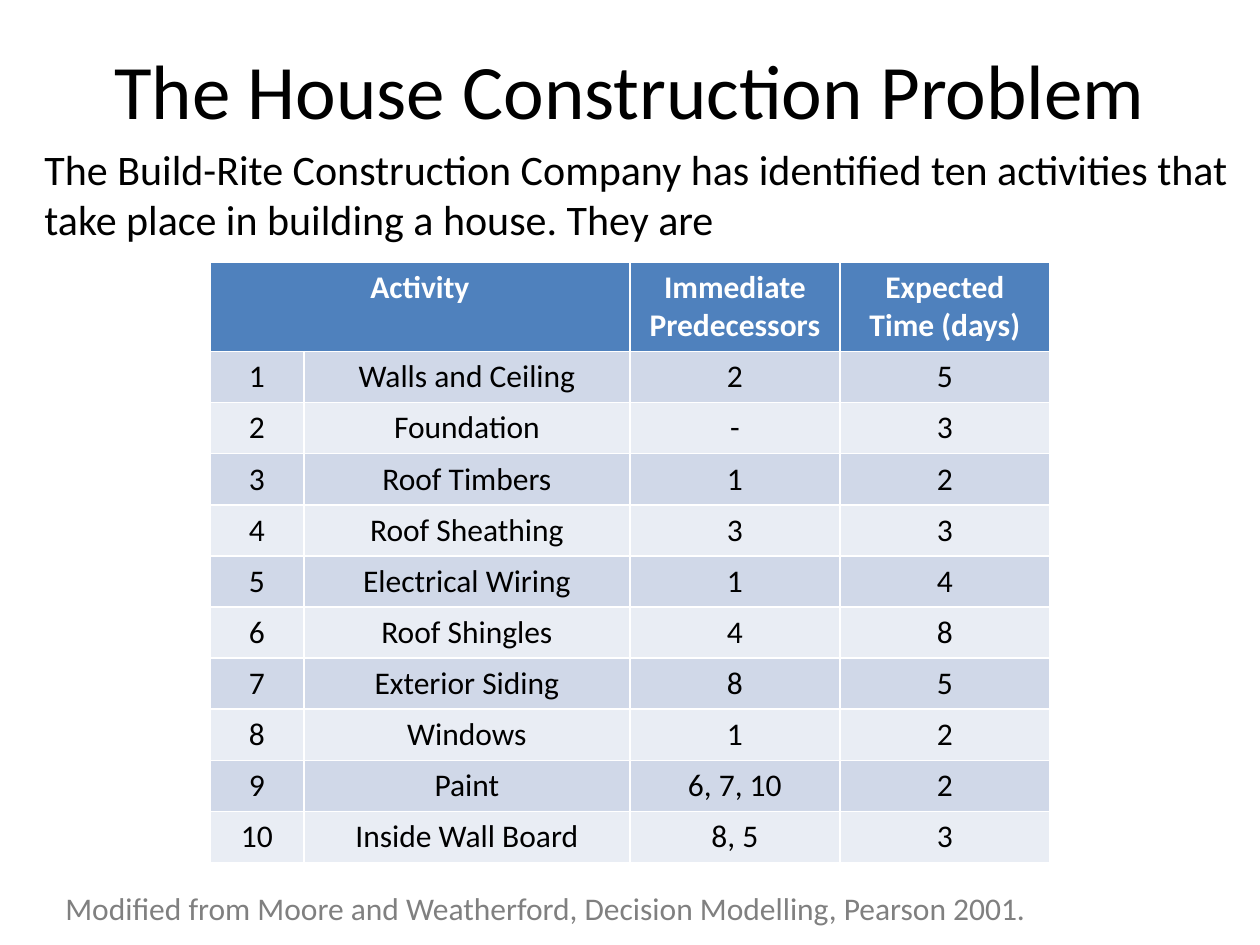
from pptx import Presentation
from pptx.dml.color import RGBColor
from pptx.enum.text import MSO_ANCHOR, PP_ALIGN
from pptx.util import Emu, Pt

BLACK = RGBColor(0x00, 0x00, 0x00)
WHITE = RGBColor(0xFF, 0xFF, 0xFF)
GRAY = RGBColor(0x80, 0x80, 0x80)
HEADER_BLUE = RGBColor(0x4F, 0x81, 0xBD)
BAND_DARK = RGBColor(0xD0, 0xD8, 0xE8)
BAND_LIGHT = RGBColor(0xE9, 0xED, 0xF4)

HEADER_HEIGHT = 88
ROW_HEIGHT = 51
COLUMN_WIDTHS = [94, 326, 210, 210]
HEADERS = ["Activity", "", "Immediate Predecessors", "Expected Time (days)"]
ACTIVITIES = [
    ("Walls and Ceiling", "2", "5"),
    ("Foundation", "-", "3"),
    ("Roof Timbers", "1", "2"),
    ("Roof Sheathing", "3", "3"),
    ("Electrical Wiring", "1", "4"),
    ("Roof Shingles", "4", "8"),
    ("Exterior Siding", "8", "5"),
    ("Windows", "1", "2"),
    ("Paint", "6, 7, 10", "2"),
    ("Inside Wall Board", "8, 5", "3"),
]


def px(value):
    return Emu(round(value * 914400 / 126))


def write_text(frame, text, size=18, color=BLACK, bold=False, align=PP_ALIGN.CENTER):
    paragraph = frame.paragraphs[0]
    paragraph.alignment = align
    run = paragraph.add_run()
    run.text = text
    run.font.name = "Calibri"
    run.font.size = Pt(size)
    run.font.bold = bold
    run.font.color.rgb = color


presentation = Presentation()
presentation.slide_width = px(1260)
presentation.slide_height = px(945)
slide = presentation.slides.add_slide(presentation.slide_layouts[5])

title = slide.shapes.title
title.left, title.top, title.width, title.height = px(63), px(10), px(1134), px(158)
title.text_frame.vertical_anchor = MSO_ANCHOR.MIDDLE
write_text(title.text_frame, "The House Construction Problem", size=44)

table_height = HEADER_HEIGHT + ROW_HEIGHT * len(ACTIVITIES)
table = slide.shapes.add_table(
    len(ACTIVITIES) + 1, len(COLUMN_WIDTHS),
    px(210), px(262), px(sum(COLUMN_WIDTHS)), px(table_height),
).table
for column, width in zip(table.columns, COLUMN_WIDTHS):
    column.width = px(width)
table.cell(0, 0).merge(table.cell(0, 1))

rows = [HEADERS] + [(str(number), *activity) for number, activity in enumerate(ACTIVITIES, 1)]
for row_index, values in enumerate(rows):
    is_header = row_index == 0
    table.rows[row_index].height = px(HEADER_HEIGHT if is_header else ROW_HEIGHT)
    band = BAND_DARK if row_index % 2 else BAND_LIGHT
    for column_index, value in enumerate(values):
        cell = table.cell(row_index, column_index)
        cell.fill.solid()
        cell.fill.fore_color.rgb = HEADER_BLUE if is_header else band
        if value:
            write_text(cell.text_frame, value, color=WHITE if is_header else BLACK, bold=is_header)

source = slide.shapes.add_textbox(px(53), px(883), px(1074), px(50))
source.text_frame.word_wrap = False
write_text(
    source.text_frame,
    "Modified from Moore and Weatherford, Decision Modelling, Pearson 2001.",
    color=GRAY, align=PP_ALIGN.LEFT,
)

introduction = slide.shapes.add_textbox(px(32), px(137), px(1228), px(115))
introduction.text_frame.word_wrap = True
write_text(
    introduction.text_frame,
    "The Build-Rite Construction Company has identified ten activities "
    "that take place in building a house. They are",
    size=24, align=PP_ALIGN.LEFT,
)

presentation.save("out.pptx")
